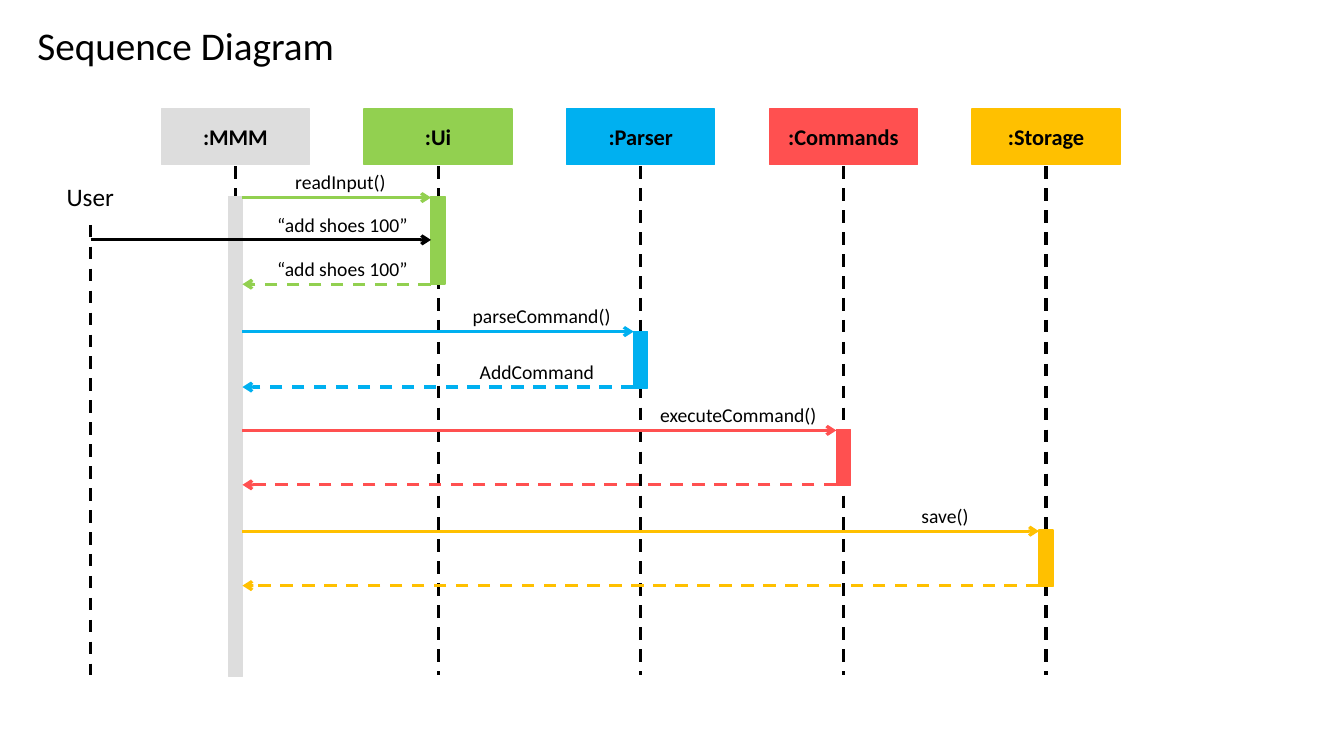
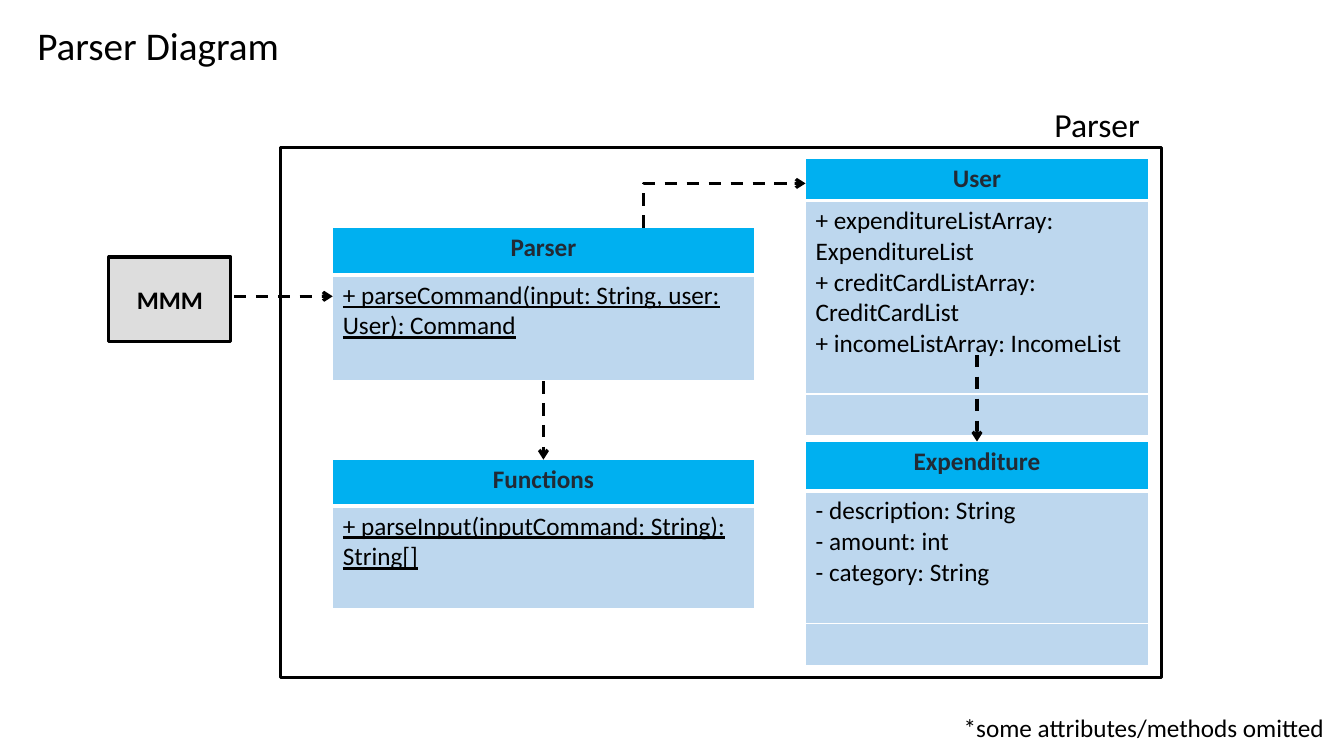
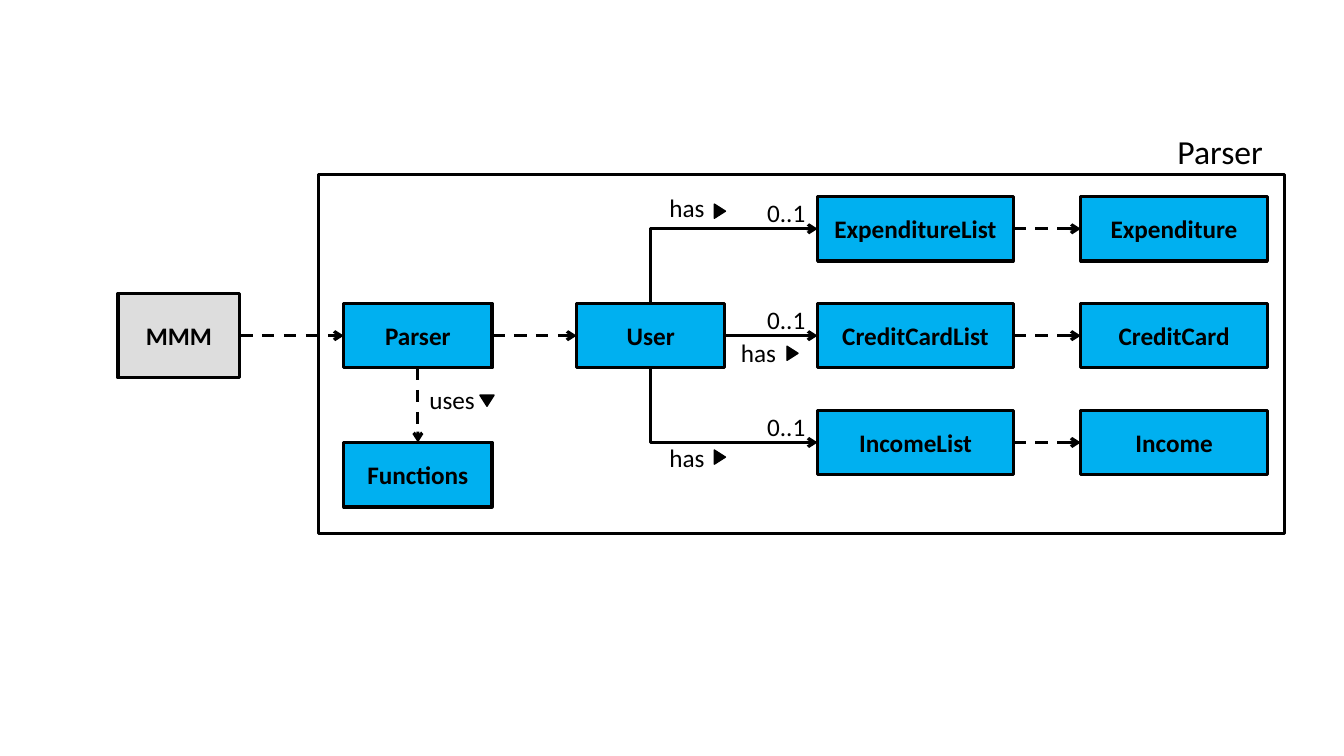
import pptx
import pptx.util
import pptx.dml.color
import pptx.enum.dml
import pptx.enum.shapes
import pptx.enum.text
import pptx.oxml.ns
import lxml.etree

Inches = pptx.util.Inches
Pt = pptx.util.Pt
SHAPES = pptx.enum.shapes.MSO_SHAPE
CONNECTORS = pptx.enum.shapes.MSO_CONNECTOR
ALIGN = pptx.enum.text.PP_ALIGN
ANCHOR = pptx.enum.text.MSO_ANCHOR

FONT = "Calibri"
BLACK, WHITE, GREY = "000000", "FFFFFF", "DDDDDD"
GREEN, BLUE, RED, AMBER = "92D050", "00B0F0", "FF5050", "FFC000"
HEADING, PALE_BLUE = "222A35", "BDD7EE"
LINE_WIDTH = 2.25
TITLE_BOX = (0.27, 0.16, 3.6, 0.57)
MAIN_SIZE = (1.21, 0.84)
CLASS_HEIGHT = 0.64


def color(value):
    """Turn a hex string into a colour."""
    return pptx.dml.color.RGBColor.from_string(value)


def add_xml(parent, tag, **attributes):
    """Append a DrawingML element and return it."""
    return lxml.etree.SubElement(parent, pptx.oxml.ns.qn(tag), attributes)


def write(frame, lines, size, align=ALIGN.LEFT, ink=BLACK, **formats):
    """Fill a text frame with one paragraph per line."""
    formats = {"name": FONT, "size": Pt(size), "bold": False, **formats}
    for index, line in enumerate(lines):
        paragraph = frame.add_paragraph() if index else frame.paragraphs[0]
        paragraph.alignment = align
        run = paragraph.add_run()
        run.text = line
        run.font.color.rgb = color(ink)
        for name, value in formats.items():
            setattr(run.font, name, value)


def add_text(slide, box, text, size, align=ALIGN.LEFT):
    """Place a plain text box."""
    shape = slide.shapes.add_textbox(*map(Inches, box))
    shape.text_frame.word_wrap = True
    write(shape.text_frame, [text], size, align)


def add_block(slide, box, fill, line=BLACK, width=LINE_WIDTH, text=None,
              size=18, kind=SHAPES.RECTANGLE):
    """Place a flat preset shape, with a bold centred label if given."""
    shape = slide.shapes.add_shape(kind, *map(Inches, box))
    shape.shadow.inherit = False
    if fill:
        shape.fill.solid()
        shape.fill.fore_color.rgb = color(fill)
    else:
        shape.fill.background()
    shape.line.color.rgb = color(line)
    shape.line.width = Pt(width)
    if text:
        shape.text_frame.vertical_anchor = ANCHOR.MIDDLE
        write(shape.text_frame, [text], size, ALIGN.CENTER, bold=True)
    return shape


def add_line(slide, start, end, ink=BLACK, dashed=True, arrow=True, bent=False):
    """Draw a line; a bent one runs vertically first, then horizontally."""
    kind = CONNECTORS.ELBOW if bent else CONNECTORS.STRAIGHT
    connector = slide.shapes.add_connector(kind, *map(Inches, (*start, *end)))
    connector.line.color.rgb = color(ink)
    connector.line.width = Pt(LINE_WIDTH)
    if dashed:
        connector.line.dash_style = pptx.enum.dml.MSO_LINE.DASH
    properties = connector.element.spPr
    if arrow:
        add_xml(connector.line._get_or_add_ln(), "a:tailEnd", type="arrow")
    add_xml(properties, "a:effectLst")
    if bent:
        guides = properties.find(".//" + pptx.oxml.ns.qn("a:avLst"))
        add_xml(guides, "a:gd", name="adj1", fmla="val 0")


def add_slide(presentation, title=None):
    """Add a slide, with the shared title style when it has a title."""
    layout = presentation.slide_layouts[5 if title else 6]
    slide = presentation.slides.add_slide(layout)
    if title:
        shape = slide.shapes.title
        for name, value in zip(("left", "top", "width", "height"), TITLE_BOX):
            setattr(shape, name, Inches(value))
        frame_formats = {"vertical_anchor": ANCHOR.TOP, "word_wrap": True,
                         "auto_size": pptx.enum.text.MSO_AUTO_SIZE.NONE}
        for name, value in frame_formats.items():
            setattr(shape.text_frame, name, value)
        write(shape.text_frame, [title], 28)
    return slide


def add_main(slide, left, top):
    """Place the box of the main class."""
    add_block(slide, (left, top, *MAIN_SIZE), GREY, text="MMM")


def add_package(slide, box, name):
    """Draw a package frame with its name above the right corner."""
    left, top, width, _ = box
    add_block(slide, box, None)
    add_text(slide, (left + width - 1.16, top - 0.48, 1.16, 0.5), name, 24)


def draw_sequence(slide, box):
    """Draw lifelines, activation bars and messages inside the box."""
    left, top, _, height = box
    pitch, head_width, head_height, bar_width = 2.01, 1.47, 0.55, 0.14
    bottom = top + height
    participants = [(":MMM", GREY, 0.87, 4.76), (":Ui", GREEN, 0.87, 0.87),
                    (":Parser", BLUE, 2.21, 0.56), (":Commands", RED, 3.18, 0.56),
                    (":Storage", AMBER, 4.18, 0.56)]
    user_x = left + 0.38
    add_text(slide, (left, top + 0.67, 0.75, 0.4), "User", 18, ALIGN.CENTER)
    add_line(slide, (user_x, top + 1.15), (user_x, bottom), arrow=False)

    bar_edges = []
    for index, (name, fill, bar_top, bar_height) in enumerate(participants):
        head_left = left + 1.08 + index * pitch
        center = head_left + head_width / 2
        add_block(slide, (head_left, top, head_width, head_height), fill, fill, 1,
                  name, 16)
        add_line(slide, (center, top + 0.57), (center, bottom), arrow=False)
        bar_left = center - bar_width / 2
        add_block(slide, (bar_left, top + bar_top, bar_width, bar_height),
                  fill, fill, 1)
        bar_edges.append(bar_left)

    main_edge = bar_edges[0] + bar_width
    messages = [  # target, height, is reply, label, label offset
        (1, 0.88, False, "readInput()", 2.31),
        (1, 1.74, True, "“add shoes 100”", 2.13),
        (2, 2.21, False, "parseCommand()", 4.07),
        (2, 2.76, True, "AddCommand", 4.14),
        (3, 3.19, False, "executeCommand()", 5.93),
        (3, 3.73, True, None, 0),
        (4, 4.19, False, "save()", 8.52),
        (4, 4.73, True, None, 0),
    ]
    for target, offset, reply, label, label_offset in messages:
        y = top + offset
        ends = [(main_edge, y), (bar_edges[target], y)]
        if reply:
            ends.reverse()
        add_line(slide, *ends, ink=participants[target][1], dashed=reply)
        if label:
            add_text(slide, (left + label_offset, y - 0.32, 1.84, 0.34), label, 14)
    user_y = top + 1.3
    add_line(slide, (user_x, user_y), (bar_edges[1], user_y), dashed=False)
    add_text(slide, (left + 2.13, user_y - 0.32, 1.58, 0.34), "“add shoes 100”", 14)


def set_borders(cell, bottom):
    """Give a cell white borders, with its own bottom width."""
    properties = cell._tc.get_or_add_tcPr()
    widths = {"a:lnL": 1, "a:lnR": 1, "a:lnT": 1, "a:lnB": bottom}
    for tag, width in widths.items():
        border = add_xml(properties, tag, w=str(Pt(width)))
        add_xml(add_xml(border, "a:solidFill"), "a:srgbClr", val=WHITE)


def add_class_table(slide, left, top, width, heights, name, members, underline=False):
    """Draw a class as a table: name, members and any empty compartments."""
    table = slide.shapes.add_table(len(heights), 1, Inches(left), Inches(top),
                                   Inches(width), Inches(sum(heights))).table
    for index, height in enumerate(heights):
        table.rows[index].height = Inches(height)
        cell = table.cell(index, 0)
        set_borders(cell, 1 if index else 3)
        cell.fill.solid()
        cell.fill.fore_color.rgb = color(PALE_BLUE if index else BLUE)
    write(table.cell(0, 0).text_frame, [name], 18, ALIGN.CENTER, HEADING, bold=True)
    write(table.cell(1, 0).text_frame, members, 18, underline=underline)


def draw_parser_classes(slide, box):
    """Draw the package with its class tables and their dependencies."""
    left, top, _, _ = box
    near, near_width = left + 0.52, 4.18
    far, far_width = left + 5.21, 3.4
    parser_top, functions_top = top + 0.8, top + 3.1
    user_top, expenditure_top = top + 0.11, top + 2.92
    add_class_table(slide, near, parser_top, near_width, (0.47, 1.05), "Parser",
                    ["+ parseCommand(input: String, user: User): Command"], True)
    add_class_table(slide, near, functions_top, near_width, (0.46, 1.02), "Functions",
                    ["+ parseInput(inputCommand: String): String[]"], True)
    add_class_table(slide, far, user_top, far_width, (0.42, 1.92, 0.41), "User",
                    ["+ expenditureListArray: ExpenditureList",
                     "+ creditCardListArray: CreditCardList",
                     "+ incomeListArray: IncomeList"])
    add_class_table(slide, far, expenditure_top, far_width, (0.49, 1.32, 0.41),
                    "Expenditure",
                    ["- description: String", "- amount: int", "- category: String"])
    add_package(slide, box, "Parser")

    main_left, main_top = left - 1.7, top + 1.09
    add_main(slide, main_left, main_top)
    main_y = top + 1.48
    near_center, far_center = near + near_width / 2, far + far_width / 2
    add_line(slide, (main_left + MAIN_SIZE[0] + 0.03, main_y), (near, main_y))
    add_line(slide, (near_center, parser_top + 1.52), (near_center, functions_top))
    add_line(slide, (far_center, top + 2.06), (far_center, expenditure_top))
    add_line(slide, (near + 3.08, parser_top), (far, user_top + 0.25), bent=True)


def add_reading_mark(slide, left, top, rotation):
    """Place the small triangle that gives a label its reading direction."""
    mark = add_block(slide, (left, top, 0.14, 0.11), BLACK, width=1,
                     kind=SHAPES.ISOSCELES_TRIANGLE)
    mark.rotation = rotation


def draw_parser_relations(slide, box):
    """Draw the package with its classes and their associations."""
    left, top, _, _ = box
    parser_left, user_left, list_left, item_left = (
        left + offset for offset in (0.25, 2.56, 4.95, 7.56))
    small_width, list_width, item_width = 1.47, 1.94, 1.85
    rows = [top + 0.22 + 1.06 * index for index in range(3)]
    middles = [row + CLASS_HEIGHT / 2 for row in rows]
    middle = middles[1]
    functions_top = top + 2.66

    classes = [("Parser", parser_left, rows[1], small_width),
               ("Functions", parser_left, functions_top, small_width),
               ("User", user_left, rows[1], small_width)]
    pairs = [("ExpenditureList", "Expenditure"), ("CreditCardList", "CreditCard"),
             ("IncomeList", "Income")]
    for row, (list_name, item_name) in zip(rows, pairs):
        classes += [(list_name, list_left, row, list_width),
                    (item_name, item_left, row, item_width)]
    for name, class_left, class_top, width in classes:
        add_block(slide, (class_left, class_top, width, CLASS_HEIGHT), BLUE, text=name)

    main_left = left - 1.99
    add_main(slide, main_left, middle - MAIN_SIZE[1] / 2)
    add_line(slide, (main_left + MAIN_SIZE[0], middle), (parser_left, middle))
    add_line(slide, (parser_left + small_width, middle), (user_left, middle))
    parser_center = parser_left + small_width / 2
    add_line(slide, (parser_center, rows[1] + CLASS_HEIGHT),
             (parser_center, functions_top))

    user_center = user_left + small_width / 2
    starts = [(user_center, rows[1]), (user_left + small_width, middle),
              (user_center, rows[1] + CLASS_HEIGHT)]
    for start, y in zip(starts, middles):
        add_line(slide, start, (list_left, y), dashed=False, bent=y != middle)
        add_line(slide, (list_left + list_width, y), (item_left, y))
        add_text(slide, (list_left - 0.6, y - 0.36, 0.65, 0.4), "0..1", 18)
    add_package(slide, box, "Parser")

    labels = [("uses", 1.0, 2.03, 0.6, 0.16, 180), ("has", 3.38, 0.13, 0.53, 0.18, 90),
              ("has", 4.09, 1.57, 0.54, 0.15, 90), ("has", 3.38, 2.61, 0.53, 0.14, 90)]
    for text, x, y, mark_x, mark_y, rotation in labels:
        add_text(slide, (left + x, top + y, 0.74, 0.4), text, 18)
        add_reading_mark(slide, left + x + mark_x, top + y + mark_y, rotation)


def main():
    """Build the presentation."""
    presentation = pptx.Presentation()
    presentation.slide_width = Inches(13.33)
    presentation.slide_height = Inches(7.5)

    draw_sequence(add_slide(presentation, "Sequence Diagram"), (0.52, 1.08, 10.58, 5.62))

    parser_slide = add_slide(presentation, "Parser Diagram")
    draw_parser_classes(parser_slide, (2.78, 1.46, 8.74, 5.26))
    add_text(parser_slide, (9.46, 7.02, 3.87, 0.4), "*some attributes/methods omitted", 18)

    draw_parser_relations(add_slide(presentation), (3.16, 1.73, 9.58, 3.56))
    presentation.save("out.pptx")


main()
